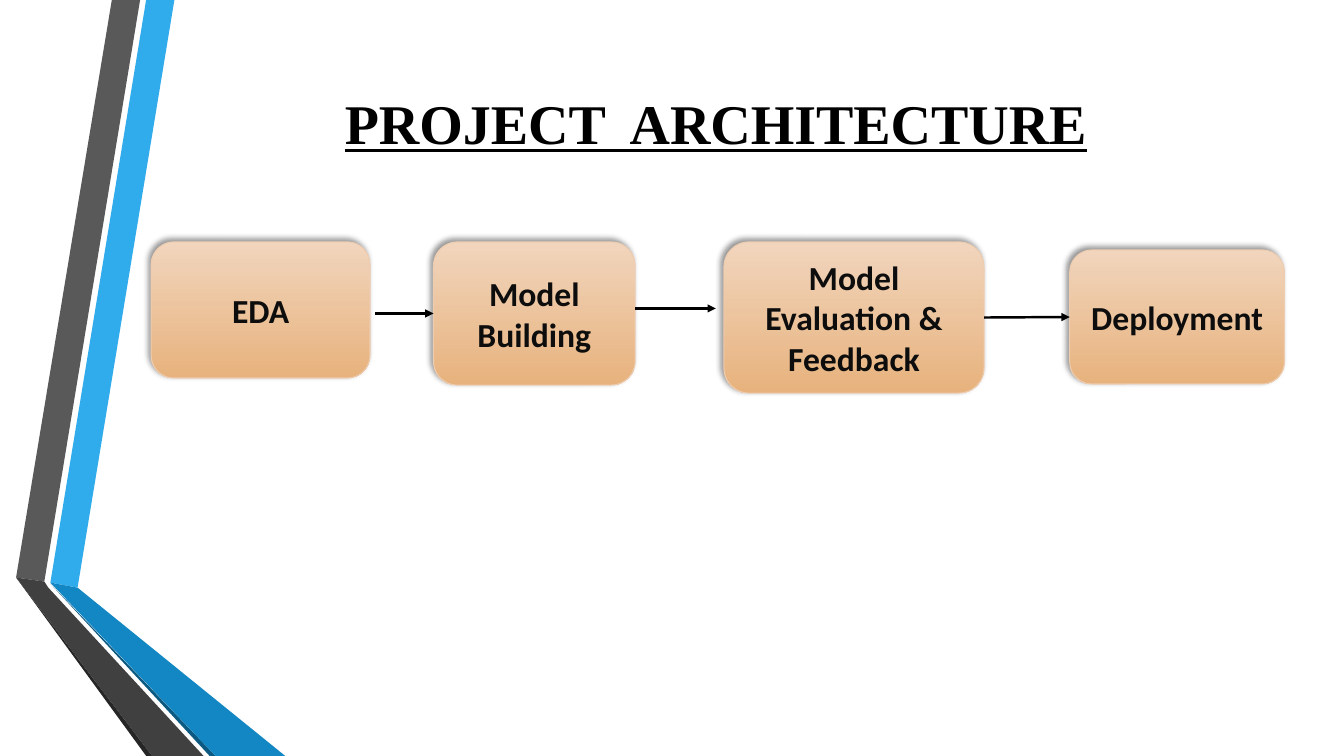
from lxml import etree
from pptx import Presentation
from pptx.dml.color import RGBColor
from pptx.enum.shapes import MSO_CONNECTOR, MSO_SHAPE
from pptx.enum.text import MSO_ANCHOR, PP_ALIGN
from pptx.oxml import parse_xml
from pptx.oxml.ns import nsdecls, qn
from pptx.util import Inches, Pt

LEFT, RIGHT = 1, 3

RIBBONS = [
    ("30ACEC", [(0.5, 5.78), (0.77, 5.83), (1.73, 0), (1.45, 0)]),
    ("595959", [(1.39, 0), (1.11, 0), (0.16, 5.73), (0.44, 5.77)]),
    ("262626", [(0.16, 5.73), (1.45, 7.5), (1.51, 7.5)]),
    ("0C5A82", [(0.5, 5.79), (2.08, 7.5), (2.14, 7.5)]),
    ("1287C3", [(0.5, 5.78), (2.14, 7.5), (2.83, 7.5), (0.77, 5.83)]),
    ("404040", [(2.02, 7.5), (0.48, 5.83), (0.44, 5.77), (0.16, 5.73), (1.51, 7.5)]),
]

STAGES = [
    (["EDA"], (1.5, 2.4, 2.17, 1.35)),
    (["Model Building"], (4.3, 2.4, 2, 1.42)),
    (["Model Evaluation &", "Feedback"], (7.18, 2.4, 2.58, 1.5)),
    (["Deployment"], (10.61, 2.48, 2.13, 1.33)),
]


def color(value):
    return RGBColor.from_string(value)


def write(frame, lines, font_name, size, value):
    frame.word_wrap = True
    frame.vertical_anchor = MSO_ANCHOR.MIDDLE
    for index, line in enumerate(lines):
        para = frame.add_paragraph() if index else frame.paragraphs[0]
        para.text = line
        para.alignment = PP_ALIGN.CENTER
        para.font.name = font_name
        para.font.size = Pt(size)
        para.font.bold = True
        para.font.color.rgb = color(value)


def add_ribbons(page, left, top):
    for value, points in RIBBONS:
        corners = [(Inches(left + x), Inches(top + y)) for x, y in points]
        builder = page.shapes.build_freeform(*corners[0])
        builder.add_line_segments(corners[1:], close=True)
        ribbon = builder.convert_to_shape()
        ribbon.shadow.inherit = False
        ribbon.fill.solid()
        ribbon.fill.fore_color.rgb = color(value)
        ribbon.line.fill.background()


def add_title(page, text, area):
    box = page.shapes.add_textbox(*map(Inches, area))
    write(box.text_frame, [text], "Times New Roman", 40, "000000")
    box.text_frame.paragraphs[0].font.underline = True


def add_stage(page, lines, area):
    box = page.shapes.add_shape(MSO_SHAPE.ROUNDED_RECTANGLE, *map(Inches, area))
    box.fill.gradient()
    box.fill.gradient_angle = 270
    for stop, value, position in zip(box.fill.gradient_stops, ("F1D5BD", "E7B27D"), (0, 1)):
        stop.color.rgb = color(value)
        stop.position = position
    box.line.color.rgb = color("EECCAF")
    box.line.width = Pt(0.75)
    box.shadow.inherit = False
    effects = box.element.spPr.find(qn("a:effectLst"))
    effects.append(parse_xml(
        f'<a:outerShdw {nsdecls("a")} blurRad="{Pt(4)}" dist="{Pt(3)}" dir="13500000" '
        'rotWithShape="0"><a:srgbClr val="000000"><a:alpha val="40000"/></a:srgbClr>'
        '</a:outerShdw>'))
    write(box.text_frame, lines, "Calibri", 24, "0D0D0D")
    return box


def add_arrow(page, start, end, y, source=None, target=None):
    arrow = page.shapes.add_connector(
        MSO_CONNECTOR.STRAIGHT, Inches(start), Inches(y), Inches(end), Inches(y))
    if source is not None:
        arrow.begin_connect(source, RIGHT)
    if target is not None:
        arrow.end_connect(target, LEFT)
    arrow.line.color.rgb = color("000000")
    arrow.line.width = Pt(1.75)
    etree.SubElement(arrow.line._get_or_add_ln(), qn("a:tailEnd"), type="triangle")
    etree.SubElement(arrow.element.spPr, qn("a:effectLst"))


def add_flow(page):
    eda, building, evaluation, deployment = [
        add_stage(page, lines, area) for lines, area in STAGES]
    add_arrow(page, 3.72, 4.3, 3.11, target=building)
    add_arrow(page, 6.3, 7.1, 3.06)
    add_arrow(page, 9.76, 10.61, 3.15, evaluation, deployment)


def main():
    deck = Presentation()
    deck.slide_width = Inches(13.33)
    deck.slide_height = Inches(7.5)
    page = deck.slides.add_slide(deck.slide_layouts[6])
    add_ribbons(page, 0, 0)
    add_title(page, "PROJECT  ARCHITECTURE", (1.62, 0.75, 10.96, 0.92))
    add_flow(page)
    deck.save("out.pptx")


if __name__ == "__main__":
    main()
